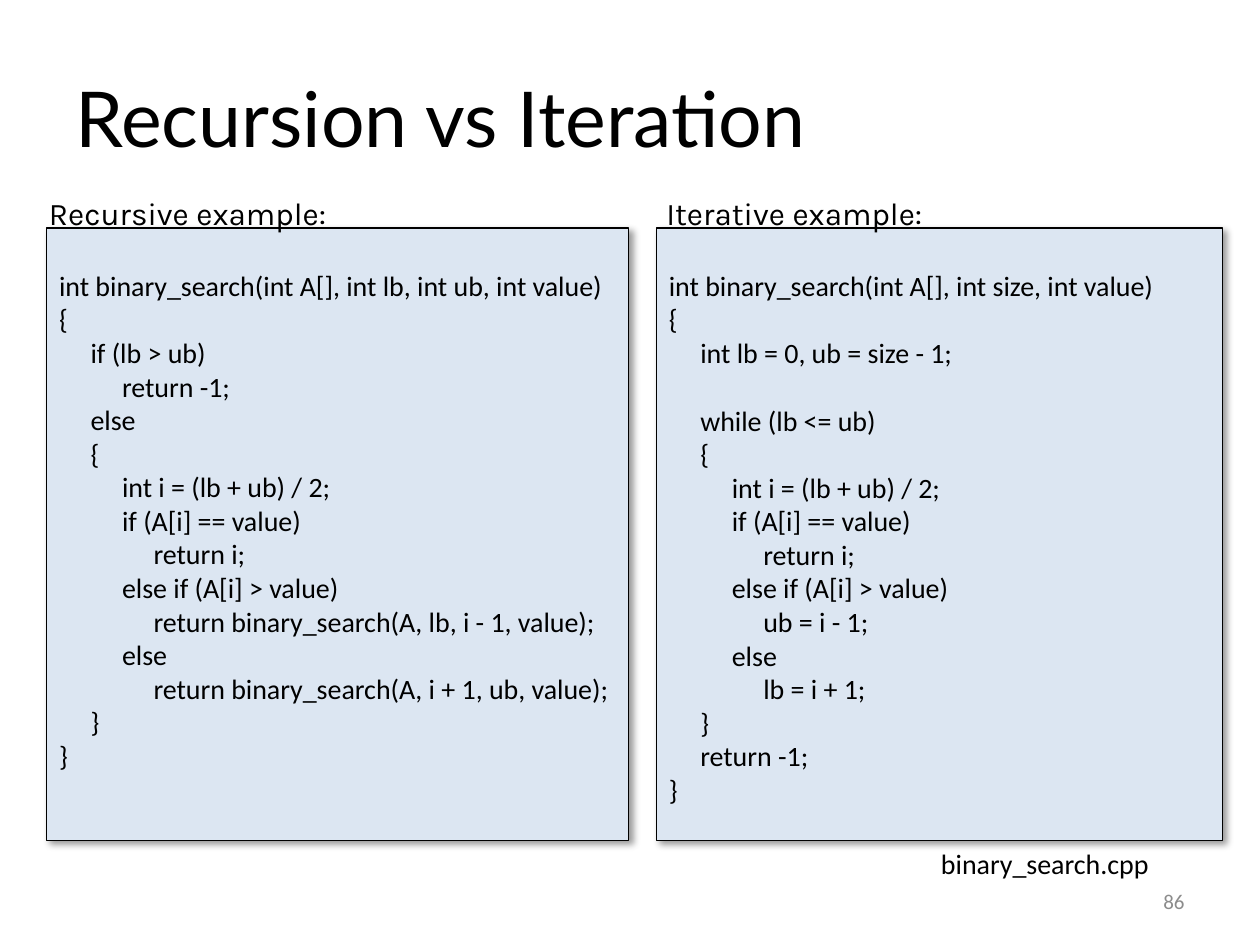
import pptx
import pptx.util
import pptx.dml.color
import pptx.enum.shapes
import pptx.enum.text
import pptx.oxml
import pptx.oxml.ns
from dataclasses import dataclass

Inches = pptx.util.Inches
Pt = pptx.util.Pt
RGB = pptx.dml.color.RGBColor.from_string
ALIGN = pptx.enum.text.PP_ALIGN
ANCHOR = pptx.enum.text.MSO_ANCHOR


@dataclass
class Theme:
    ink: str = "000000"
    muted: str = "8C8C8C"
    panel: str = "DCE6F2"
    title_size: int = 44
    heading_size: int = 18
    code_size: int = 16
    number_size: int = 12
    title_font: str = "Lato"
    heading_font: str = "Karla"
    body_font: str = "Calibri"


theme = Theme()
TABS = (0.25, 0.5, 0.75)
CODE_LINE = 0.27

RECURSIVE = """int binary_search(int A[], int lb, int ub, int value)
{
    if (lb > ub)
        return -1;
    else
    {
        int i = (lb + ub) / 2;
        if (A[i] == value)
            return i;
        else if (A[i] > value)
            return binary_search(A, lb, i - 1, value);
        else
            return binary_search(A, i + 1, ub, value);
    }
}"""

ITERATIVE = """int binary_search(int A[], int size, int value)
{
    int lb = 0, ub = size - 1;

    while (lb <= ub)
    {
        int i = (lb + ub) / 2;
        if (A[i] == value)
            return i;
        else if (A[i] > value)
            ub = i - 1;
        else
            lb = i + 1;
    }
    return -1;
}"""


def add_run(p, text, size, font, color=theme.ink, align=ALIGN.LEFT):
    p.alignment = align
    r = p.add_run()
    r.text = text
    for name, value in {"size": Pt(size), "name": font}.items():
        setattr(r.font, name, value)
    r.font.color.rgb = RGB(color)


def add_xml(parent, body):
    tag, rest = body.split(" ", 1)
    parent.append(pptx.oxml.parse_xml(f"<a:{tag} {pptx.oxml.ns.nsdecls('a')} {rest}"))


prs = pptx.Presentation()
prs.slide_width = Inches(10)
prs.slide_height = Inches(7.5)
s = prs.slides.add_slide(prs.slide_layouts[5])

title = s.shapes.title
box = {"left": 0.5, "top": 0.3, "width": 9, "height": 1.25}
for name, value in box.items():
    setattr(title, name, Inches(value))
title.text_frame.vertical_anchor = ANCHOR.MIDDLE
add_run(title.text_frame.paragraphs[0], "Recursion vs Iteration", theme.title_size, theme.title_font)

for left, width, code in ((0.37, 4.62, RECURSIVE), (5.21, 4.49, ITERATIVE)):
    sp = s.shapes.add_shape(pptx.enum.shapes.MSO_SHAPE.RECTANGLE,
                            Inches(left), Inches(1.81), Inches(width), Inches(4.86))
    sp.fill.solid()
    sp.fill.fore_color.rgb = RGB(theme.panel)
    sp.line.color.rgb = RGB(theme.ink)
    sp.line.width = Pt(0.75)
    add_xml(sp._element.spPr,
            f'effectLst ><a:outerShdw blurRad="{Pt(4)}" dist="{Pt(3)}" dir="2700000" algn="tl" rotWithShape="0">'
            f'<a:srgbClr val="{theme.ink}"><a:alpha val="40000"/></a:srgbClr></a:outerShdw></a:effectLst>')
    tf = sp.text_frame
    frame = {"word_wrap": True, "vertical_anchor": ANCHOR.TOP, "margin_top": Inches(0.05 + CODE_LINE)}
    for name, value in frame.items():
        setattr(tf, name, value)
    p, gap = tf.paragraphs[0], False
    for i, line in enumerate(code.split("\n")):
        if not line:
            gap = True
            continue
        if i:
            p = tf.add_paragraph()
        stops = "".join(f'<a:tab pos="{Inches(t)}" algn="l"/>' for t in TABS)
        add_xml(p._p.get_or_add_pPr(), f"tabLst >{stops}</a:tabLst>")
        if gap:
            p.space_before = Inches(CODE_LINE)
            gap = False
        add_run(p, line.replace("    ", "\t"), theme.code_size, theme.body_font)

labels = (
    ("Recursive example:", 0.29, 1.49, 2.6, 0.4, theme.heading_size, theme.heading_font, theme.ink, ALIGN.LEFT),
    ("Iterative example:", 5.19, 1.49, 2.49, 0.4, theme.heading_size, theme.heading_font, theme.ink, ALIGN.LEFT),
    ("binary_search.cpp", 7.37, 6.67, 1.87, 0.37, theme.code_size, theme.body_font, theme.ink, ALIGN.LEFT),
    ("86", 7.17, 6.95, 2.33, 0.4, theme.number_size, theme.body_font, theme.muted, ALIGN.RIGHT),
)
for text, left, top, width, height, size, font, color, align in labels:
    tf = s.shapes.add_textbox(Inches(left), Inches(top), Inches(width), Inches(height)).text_frame
    tf.word_wrap = align == ALIGN.RIGHT
    tf.vertical_anchor = ANCHOR.MIDDLE if align == ALIGN.RIGHT else ANCHOR.TOP
    add_run(tf.paragraphs[0], text, size, font, color, align)

prs.save("out.pptx")
